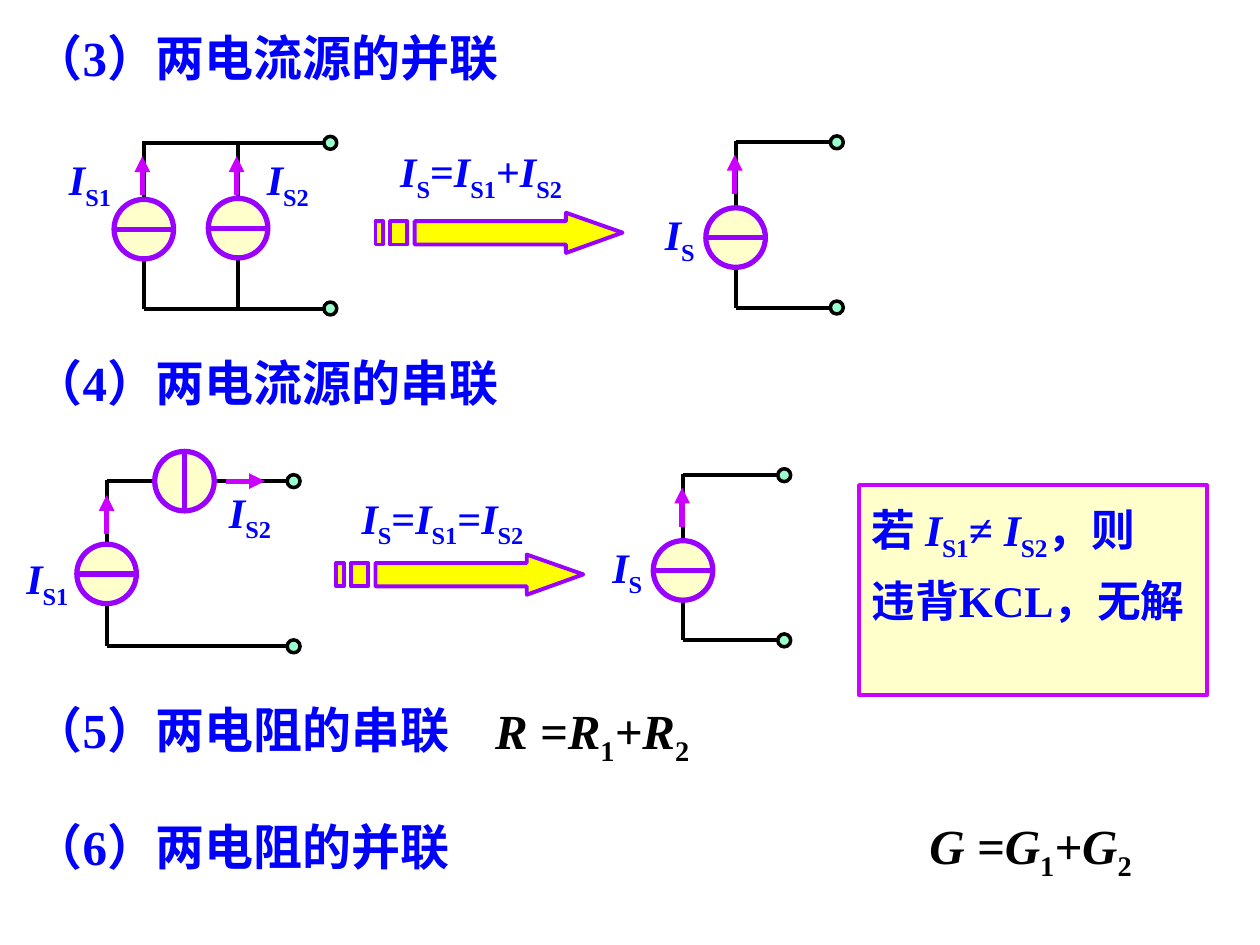
from dataclasses import dataclass

from lxml import etree
from pptx import Presentation, util as u
from pptx.dml.color import RGBColor as Rgb
from pptx.enum import shapes, text
from pptx.oxml.ns import qn

Cm, Pt = u.Cm, u.Pt
KIND = shapes.MSO_SHAPE
LEFT, MID = text.PP_ALIGN.LEFT, text.PP_ALIGN.CENTER


@dataclass(frozen=True)
class Theme:
    face: str = "Times New Roman"
    blue: str = "0000FF"
    black: str = "000000"
    cream: str = "FFFFCC"
    mint: str = "99FFCC"
    gold: str = "FFFF00"
    plum: str = "9900FF"
    pink: str = "CC00FF"
    head: float = 28
    sign: float = 24
    note: float = 25
    wire: float = 2.25
    ring: float = 2
    bold: float = 3


T = Theme()
RAD = 0.6    # source radius, cm
DOT = 0.13   # terminal radius, cm
FLOW = 0.79  # current arrow length, cm


def paint(shape, fill, edge, width):
    shape.shadow.inherit = False
    shape.fill.solid()
    shape.fill.fore_color.rgb = Rgb.from_string(fill)
    shape.line.color.rgb = Rgb.from_string(edge)
    shape.line.width = Pt(width)


def write(frame, lines, size, color=T.blue, align=LEFT, gap=None, wrap=True):
    """Fill a frame; in a line, | parts runs, / marks italic and _ subscript."""
    frame.word_wrap = wrap
    frame.auto_size = text.MSO_AUTO_SIZE.SHAPE_TO_FIT_TEXT
    frame.vertical_anchor = text.MSO_ANCHOR.TOP
    for num, line in enumerate(lines):
        para = frame.add_paragraph() if num else frame.paragraphs[0]
        para.alignment = align
        if gap:
            para.line_spacing = gap
        font = para.font
        font.name, font.size, font.bold = T.face, Pt(size), True
        font.color.rgb = Rgb.from_string(color)
        for part in line.split("|"):
            run = para.add_run()
            run.text = part.lstrip("/_")
            if part[0] == "/":
                run.font.italic = True
            elif part[0] == "_":
                run._r.get_or_add_rPr().set("baseline", "-25000")


def label(slide, x, y, w, h, line, size, **style):
    box = slide.shapes.add_textbox(Cm(x), Cm(y), Cm(w), Cm(h))
    write(box.text_frame, [line], size, **style)


def sign(slide, x, y, w, line):
    label(slide, x, y, w, 1.42, line, T.sign, align=MID, wrap=False)


def sums(slide, x, y, line):
    """Formula above a block arrow."""
    label(slide, x, y, 4, 1.2, line, T.sign, align=MID, gap=0.8, wrap=False)


def wire(slide, x1, y1, x2, y2, color=T.black, width=T.wire, tip=False):
    line = slide.shapes.add_connector(
        shapes.MSO_CONNECTOR.STRAIGHT, Cm(x1), Cm(y1), Cm(x2), Cm(y2))
    line.line.color.rgb = Rgb.from_string(color)
    line.line.width = Pt(width)
    props = line._element.spPr
    if tip:
        etree.SubElement(props.get_or_add_ln(), qn("a:tailEnd"),
                         type="triangle")
    etree.SubElement(props, qn("a:effectLst"))


def flow(slide, x, y, dx=0, dy=-FLOW):
    """Current arrow."""
    wire(slide, x, y, x + dx, y + dy, T.pink, T.bold, tip=True)


def disc(slide, x, y, r, fill, edge, width):
    oval = slide.shapes.add_shape(
        KIND.OVAL, Cm(x - r), Cm(y - r), Cm(2 * r), Cm(2 * r))
    paint(oval, fill, edge, width)


def source(slide, x, y, dx=RAD, dy=0):
    """Current source; dx and dy give half of its bar."""
    disc(slide, x, y, RAD, T.cream, T.plum, T.bold)
    wire(slide, x - dx, y - dy, x + dx, y + dy, T.plum, T.bold)


def loop(slide, x, top, low, end):
    """Side wire with two rails that end in open terminals."""
    wire(slide, x, top - 0.03, x, low)
    for y in (top, low):
        wire(slide, x, y, end - 0.06, y)
        disc(slide, end, y, DOT, T.mint, T.black, T.ring)


def result(slide, x, top):
    """Circuit with the single equal source."""
    loop(slide, x, top, top + 3.33, x + 2.04)
    source(slide, x, top + 1.92)
    flow(slide, x - 0.02, top + 1.04)
    sign(slide, x - 1.77, top + 1.21, 1.29, "/I|_S")


def block(slide, x, y):
    """Striped arrow: two bars and a headed shaft."""
    top, low = 0.17, 0.64
    bars = [[(a, top), (a, low), (b, low), (b, top)]
            for a, b in ((0.3, 0.64), (0, 0.15))]
    shaft = [(3.84, 0), (3.84, top), (0.79, top), (0.79, low),
             (3.84, low), (3.84, 0.81), (4.98, 0.4)]
    form = None
    for ring in [shaft] + bars:
        pts = [(Cm(x + a), Cm(y + b)) for a, b in ring]
        if form is None:
            form = slide.shapes.build_freeform(*pts[0])
        else:
            form.move_to(*pts[0])
        form.add_line_segments(pts[1:], close=True)
    paint(form.convert_to_shape(), T.gold, T.plum, T.wire)


def shunt(slide):
    """Two sources in parallel."""
    loop(slide, 2.9, 2.88, 6.22, 6.66)
    wire(slide, 4.8, 2.85, 4.8, 6.22)
    for x, y in ((2.9, 4.62), (4.8, 4.6)):
        source(slide, x, y)
        flow(slide, x - 0.03, 3.94)
    sign(slide, 1.04, 2.97, 1.55, "/I|_S1")
    sign(slide, 5.03, 2.97, 1.55, "/I|_S2")


def chain(slide):
    """Two sources in series."""
    loop(slide, 2.15, 9.7, 13.03, 5.92)
    source(slide, 2.15, 11.57)
    source(slide, 3.72, 9.7, 0, RAD)
    flow(slide, 2.15, 10.77)
    flow(slide, 4.55, 9.7, FLOW, 0)
    sign(slide, 0.18, 11.02, 1.55, "/I|_S1")
    sign(slide, 4.24, 9.68, 1.6, "/I|_S2")


def note(slide):
    box = slide.shapes.add_shape(
        KIND.RECTANGLE, Cm(17.32), Cm(9.78), Cm(7.01), Cm(4.24))
    paint(box, T.cream, T.pink, T.wire)
    write(box.text_frame,
          ["若 |/I|_S1|≠ |/I|_S2|，则", "违背KCL，无解"], T.note, gap=1.2)


def main():
    deck = Presentation()
    deck.slide_width, deck.slide_height = Cm(25.4), Cm(19.05)
    slide = deck.slides.add_slide(deck.slide_layouts[6])
    heads = ((0.43, 17.15, "（3）两电流源的并联"),
             (6.99, 17.15, "（4）两电流源的串联"),
             (13.97, 10.8, "（5）两电阻的串联"),
             (16.33, 10.6, "（6）两电阻的并联"))
    for y, w, line in heads:
        label(slide, 0.43, y, w, 1.45, line, T.head)
    shunt(slide)
    sums(slide, 7.7, 2.92, "/I|_S|=|/I|_S1|+|/I|_S2")
    block(slide, 7.57, 4.29)
    result(slide, 14.83, 2.87)
    chain(slide)
    sums(slide, 6.92, 9.91, "/I|_S|=|/I|_S1|=|/I|_S2")
    block(slide, 6.78, 11.18)
    result(slide, 13.77, 9.58)
    note(slide)
    label(slide, 9.73, 14, 6.78, 1.6, "/R =R|_1|/+R|_2", T.head, color=T.black)
    label(slide, 18.21, 16.31, 5.13, 1.6, "/G =G|_1|/+G|_2", T.head,
          color=T.black, align=MID)
    deck.save("out.pptx")


if __name__ == "__main__":
    main()
